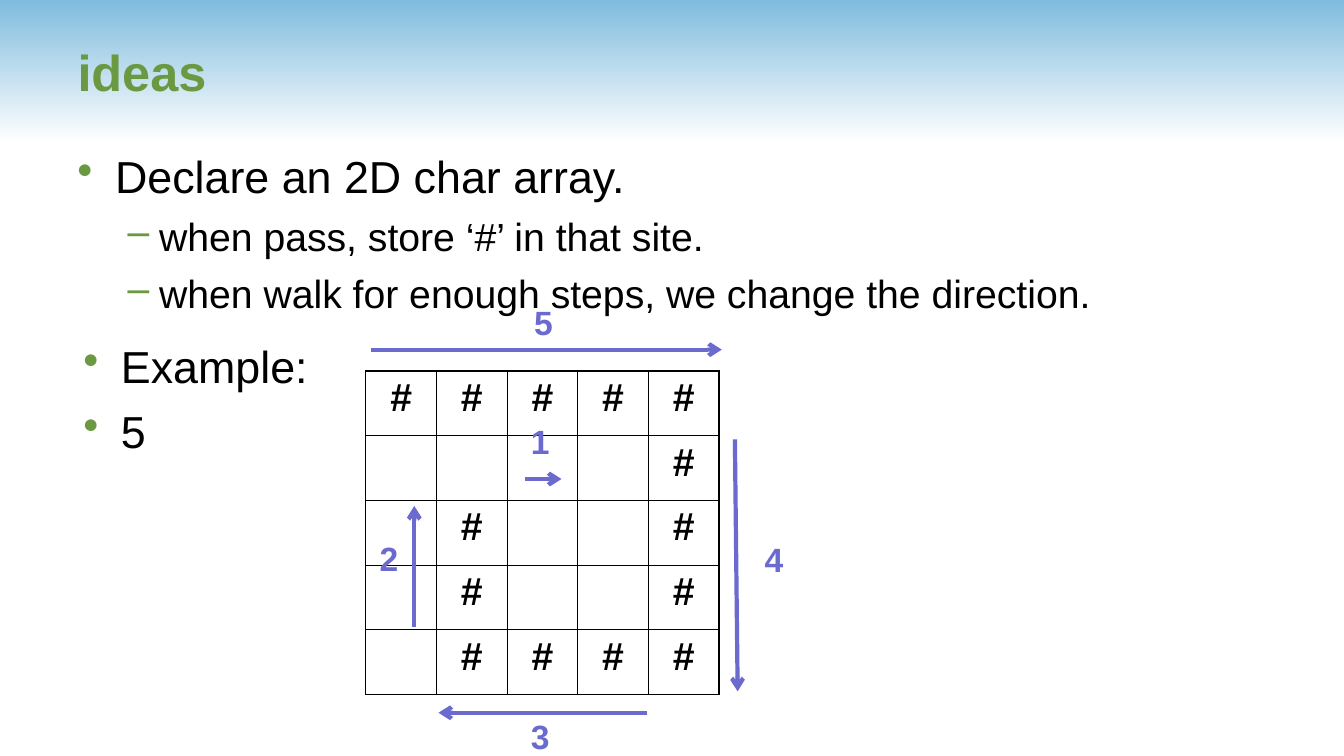
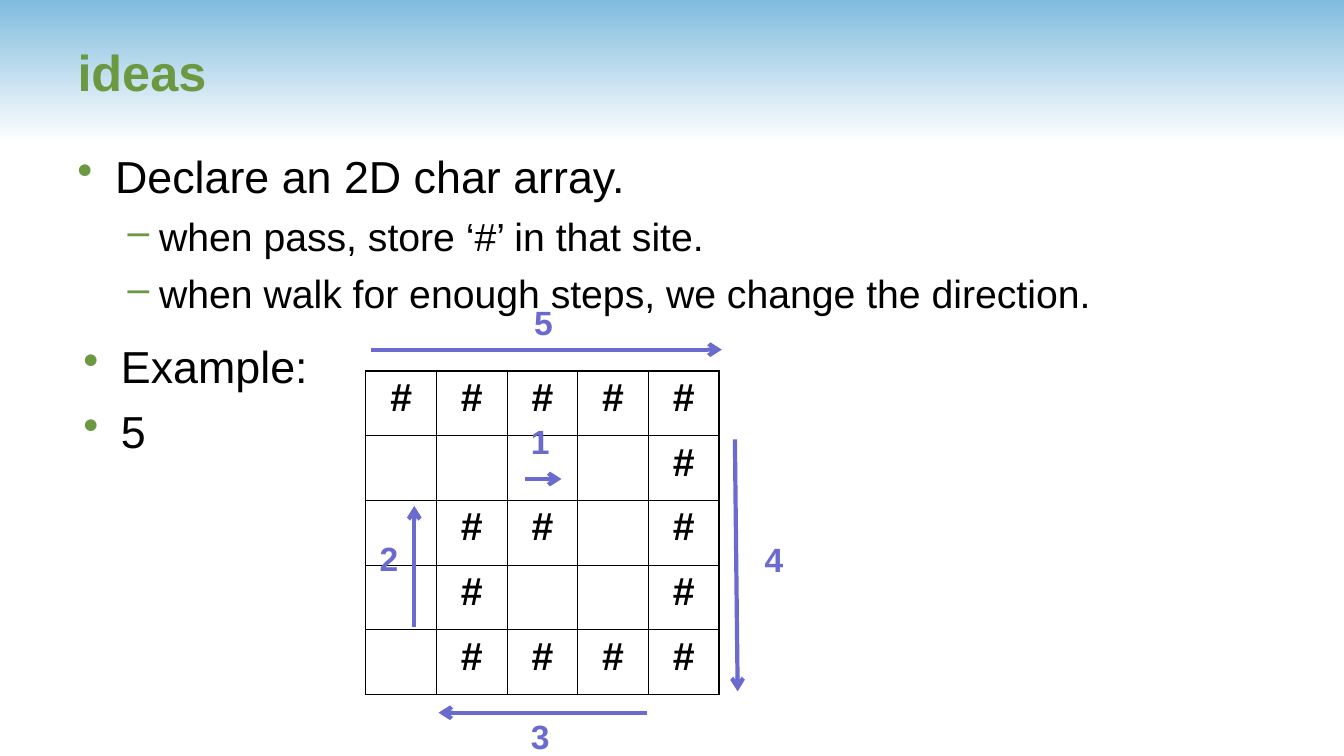
from lxml import etree
from pptx import Presentation
from pptx.dml.color import RGBColor
from pptx.enum.shapes import MSO_CONNECTOR, MSO_SHAPE
from pptx.enum.text import MSO_ANCHOR, PP_ALIGN
from pptx.oxml.ns import qn
from pptx.util import Cm, Pt

STRAIGHT = MSO_CONNECTOR.STRAIGHT
PENTAGON = MSO_SHAPE.PENTAGON
MIDDLE = MSO_ANCHOR.MIDDLE
LEFT, CENTER = PP_ALIGN.LEFT, PP_ALIGN.CENTER

SLIDE_WIDTH, SLIDE_HEIGHT = Cm(33.87), Cm(19.05)
TITLE_ONLY = 5
FONT = "Arial"
GREEN, PURPLE, SKY, BLACK, WHITE = "6B9941", "6B6BCF", "80BCDE", "000000", "FFFFFF"

# level: (bullet, text size, left indent, hanging indent)
LEVELS = [("•", 32, Cm(0.95), Cm(0.95)), ("–", 28, Cm(2.06), Cm(0.79))]

IDEAS = [
    (0, "Declare an 2D char array."),
    (1, "when pass, store ‘#’ in that site."),
    (1, "when walk for enough steps, we change the direction."),
]
EXAMPLE = [(0, "Example:"), (0, "5")]
GRIDS = [
    ["#####", "    #", " #  #", " #  #", " ####"],
    ["#####", "    #", " ## #", " #  #", " ####"],
]
# steps, arrow start, arrow end, label corner
MOVES = [
    ("5", (9.35, 8.81), (18.19, 8.81), (13.21, 7.49)),
    ("4", (18.52, 11.07), (18.59, 17.42), (19.02, 13.46)),
    ("3", (16.31, 17.96), (11.05, 17.96), (13.13, 17.91)),
    ("2", (10.44, 15.8), (10.44, 12.75), (9.32, 13.44)),
    ("1", (13.23, 12.07), (14.15, 12.07), (13.13, 10.49)),
]


def rgb(value):
    return RGBColor.from_string(value)


def add_xml(parent, tag, **attributes):
    return etree.SubElement(parent, qn(tag), attributes)


class Deck:
    """Holds the shared style and the slide being built."""

    def __init__(self):
        self.presentation = Presentation()
        self.presentation.slide_width = SLIDE_WIDTH
        self.presentation.slide_height = SLIDE_HEIGHT
        self.slide = None

    def style(self, paragraph, size, color=BLACK, bold=False):
        font = paragraph.font
        font.name, font.size, font.bold = FONT, Pt(size), bold
        font.color.rgb = rgb(color)

    def add_slide(self, heading):
        layout = self.presentation.slide_layouts[TITLE_ONLY]
        self.slide = self.presentation.slides.add_slide(layout)
        self.band()
        title = self.slide.shapes.title
        title.left, title.top = Cm(1.7), Cm(0.2)
        title.width, title.height = Cm(30.76), Cm(3.18)
        title.text_frame.text = heading
        title.text_frame.vertical_anchor = MIDDLE
        paragraph = title.text_frame.paragraphs[0]
        paragraph.alignment = LEFT
        self.style(paragraph, 36, GREEN, True)

    def band(self):
        band = self.slide.shapes.add_shape(PENTAGON, 0, 0, SLIDE_WIDTH, Cm(3.61))
        band.adjustments[0] = 0
        band.shadow.inherit = False
        band.line.fill.background()
        band.fill.gradient()
        band.fill.gradient_angle = 270
        for stop, color, position in zip(band.fill.gradient_stops, (SKY, WHITE), (0, 1)):
            stop.color.rgb = rgb(color)
            stop.position = position
        band.element.getparent().insert(2, band.element)

    def text_box(self, left, top, width, height):
        box = self.slide.shapes.add_textbox(Cm(left), Cm(top), Cm(width), Cm(height))
        box.text_frame.word_wrap = True
        return box.text_frame

    def bullets(self, items, left, top, width, height):
        frame = self.text_box(left, top, width, height)
        frame.margin_top = Cm(0.25)
        for index, (level, text) in enumerate(items):
            paragraph = frame.add_paragraph() if index else frame.paragraphs[0]
            bullet, size, indent, hanging = LEVELS[level]
            paragraph.text = text
            paragraph.level = level
            properties = paragraph._p.get_or_add_pPr()
            properties.set("marL", str(indent))
            properties.set("indent", str(-hanging))
            add_xml(add_xml(properties, "a:buClr"), "a:srgbClr", val=GREEN)
            add_xml(properties, "a:buChar", char=bullet)
            if index:
                paragraph.space_before = Pt(size / 4)
            self.style(paragraph, size)

    def grid(self, rows, left, top, column_width, row_height):
        count = len(rows)
        table = self.slide.shapes.add_table(
            count, count, Cm(left), Cm(top), Cm(column_width * count), Cm(row_height * count)
        ).table
        table.first_row = table.horz_banding = False
        for index, marks in enumerate(rows):
            table.columns[index].width = Cm(column_width)
            table.rows[index].height = Cm(row_height)
            for column, mark in enumerate(marks):
                self.cell(table.cell(index, column), mark.strip())

    def cell(self, cell, mark):
        properties = cell._tc.get_or_add_tcPr()
        for edge in ("a:lnL", "a:lnR", "a:lnT", "a:lnB"):
            border = add_xml(properties, edge, w=str(Pt(1)))
            add_xml(add_xml(border, "a:solidFill"), "a:srgbClr", val=BLACK)
        cell.fill.background()
        cell.text = mark
        paragraph = cell.text_frame.paragraphs[0]
        paragraph.alignment = CENTER
        self.style(paragraph, 28, bold=True)

    def move(self, steps, start, end, corner):
        arrow = self.slide.shapes.add_connector(
            STRAIGHT, *(Cm(length) for length in start + end)
        )
        arrow.line.color.rgb = rgb(PURPLE)
        arrow.line.width = Pt(3)
        add_xml(arrow.line._get_or_add_ln(), "a:tailEnd", type="arrow")
        add_xml(arrow.element.spPr, "a:effectLst")
        label = self.text_box(*corner, 1.09, 1.3)
        label.text = steps
        self.style(label.paragraphs[0], 24, PURPLE, True)


def main():
    deck = Deck()
    for rows in GRIDS:
        deck.add_slide("ideas")
        deck.bullets(IDEAS, 1.7, 3.51, 28.98, 11.43)
        deck.bullets(EXAMPLE, 1.85, 8.28, 10.92, 3.68)
        deck.grid(rows, 9.22, 9.35, 1.78, 1.63)
        for walk in MOVES:
            deck.move(*walk)
    deck.presentation.save("out.pptx")


if __name__ == "__main__":
    main()
